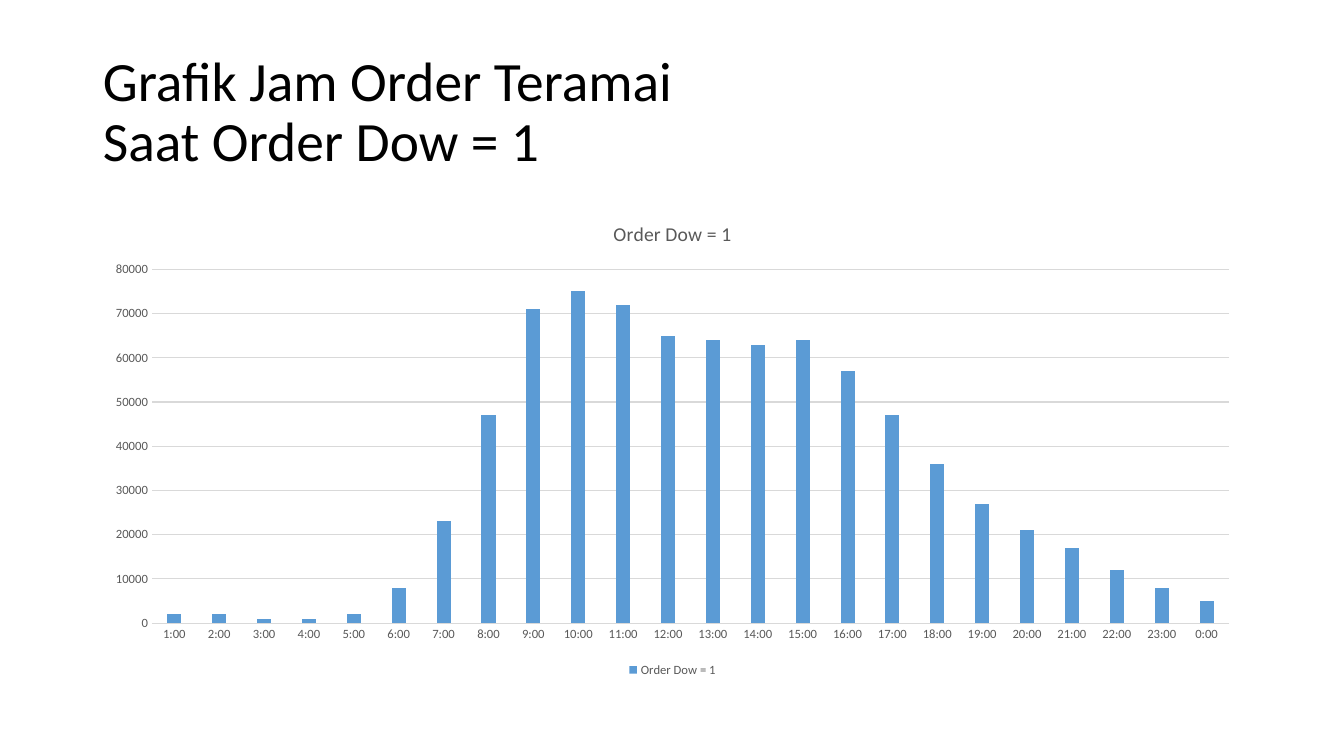
from dataclasses import dataclass
from pptx import Presentation
from pptx.chart.data import CategoryChartData
from pptx.dml.color import RGBColor
from pptx.enum.chart import XL_CHART_TYPE, XL_LEGEND_POSITION, XL_TICK_MARK
from pptx.enum.text import MSO_ANCHOR, MSO_AUTO_SIZE, PP_ALIGN
from pptx.util import Inches, Pt


@dataclass(frozen=True)
class Theme:
    face: str = "Calibri"
    ink: RGBColor = RGBColor(0x00, 0x00, 0x00)
    label: RGBColor = RGBColor(0x59, 0x59, 0x59)
    rule: RGBColor = RGBColor(0xD9, 0xD9, 0xD9)
    bar: RGBColor = RGBColor(0x5B, 0x9B, 0xD5)
    heading_size: float = 39.6
    chart_title_size: float = 14
    chart_size: float = 10
    label_size: float = 9
    rule_width: float = 0.75


theme = Theme()


def set_font(font, size, color):
    values = {"name": theme.face, "size": Pt(size), "bold": False}
    for attribute, value in values.items():
        setattr(font, attribute, value)
    font.color.rgb = color


def set_rule(line):
    line.color.rgb = theme.rule
    line.width = Pt(theme.rule_width)


deck = Presentation()
deck.slide_width = Inches(13.33)
deck.slide_height = Inches(7.5)
slide = deck.slides.add_slide(deck.slide_layouts[5])

heading = slide.shapes.title
heading_box = {"left": 0.92, "top": 0.4, "width": 11.5, "height": 1.45}
for attribute, value in heading_box.items():
    setattr(heading, attribute, Inches(value))
heading_frame = heading.text_frame
heading_frame.text = "Grafik Jam Order Teramai\vSaat Order Dow = 1"
heading_frame.word_wrap = True
heading_frame.auto_size = MSO_AUTO_SIZE.NONE
heading_frame.vertical_anchor = MSO_ANCHOR.MIDDLE
heading_lines = heading_frame.paragraphs[0]
heading_lines.alignment = PP_ALIGN.LEFT
heading_lines.line_spacing = 0.9
for run in heading_lines.runs:
    set_font(run.font, theme.heading_size, theme.ink)

order_day = "Order Dow = 1"
order_thousands = [2, 2, 1, 1, 2, 8, 23, 47, 71, 75, 72, 65,
                   64, 63, 64, 57, 47, 36, 27, 21, 17, 12, 8, 5]
orders = CategoryChartData(number_format="General")
orders.categories = [f"{hour % 24}:00" for hour in range(1, 25)]
orders.add_series(order_day, [count * 1000 for count in order_thousands])

chart = slide.shapes.add_chart(
    XL_CHART_TYPE.COLUMN_CLUSTERED,
    Inches(0.92), Inches(2), Inches(11.5), Inches(4.76), orders,
).chart
set_font(chart.font, theme.chart_size, theme.ink)

chart.has_title = True
chart.chart_title.include_in_layout = False
chart.chart_title.text_frame.text = order_day
chart_title_run = chart.chart_title.text_frame.paragraphs[0].runs[0]
set_font(chart_title_run.font, theme.chart_title_size, theme.label)

chart.has_legend = True
chart.legend.position = XL_LEGEND_POSITION.BOTTOM
chart.legend.include_in_layout = False
set_font(chart.legend.font, theme.label_size, theme.label)

hour_axis, count_axis = chart.category_axis, chart.value_axis
for axis in (hour_axis, count_axis):
    axis.major_tick_mark = XL_TICK_MARK.NONE
    axis.minor_tick_mark = XL_TICK_MARK.NONE
    set_font(axis.tick_labels.font, theme.label_size, theme.label)
set_rule(hour_axis.format.line)
count_axis.format.line.fill.background()
count_axis.has_major_gridlines = True
set_rule(count_axis.major_gridlines.format.line)
count_scale = {"minimum_scale": 0, "maximum_scale": 80000, "major_unit": 10000}
for attribute, value in count_scale.items():
    setattr(count_axis, attribute, value)

bars = chart.plots[0]
bar_layout = {"gap_width": 219, "overlap": -27, "vary_by_categories": False}
for attribute, value in bar_layout.items():
    setattr(bars, attribute, value)
bar_fill = bars.series[0].format.fill
bar_fill.solid()
bar_fill.fore_color.rgb = theme.bar

deck.save("out.pptx")
